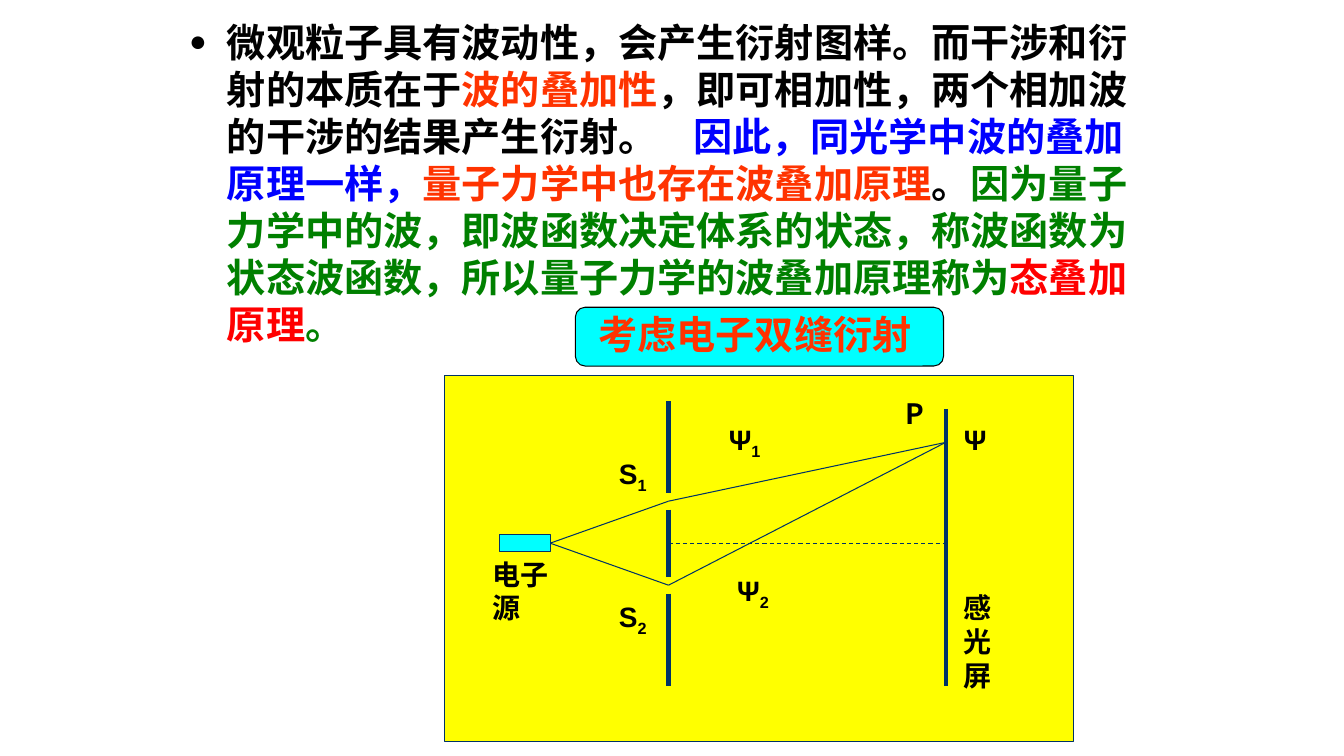
"""Builds the slide on wave superposition with an electron double-slit diagram."""
from lxml import etree
from pptx import Presentation
from pptx.dml.color import RGBColor
from pptx.enum import dml, shapes, text
from pptx.oxml import ns
from pptx.util import Pt

THEME = {
    "black": "000000", "orange": "FF3300", "blue": "0000FF", "green": "008000",
    "red": "FF0000", "cyan": "00FFFF", "yellow": "FFFF00", "navy": "003366",
    "latin": "Arial", "cjk": "Noto Sans CJK SC",
    "large": 28, "small": 20, "thin": 0.75, "thick": 3,
}

STATEMENT = [
    ("微观粒子具有波动性，会产生衍射图样。而干涉和衍射的本质在于", "black"),
    ("波的叠加性", "orange"),
    ("，即可相加性，两个相加波的干涉的结果产生衍射。\t", "black"),
    ("因此，同光学中波的叠加原理一样，", "blue"),
    ("量子力学中也存在波叠加原理", "orange"),
    ("。", "black"),
    ("因为量子力学中的波，即波函数决定体系的状态，称波函数为状态波函数，"
     "所以量子力学的波叠加原理称为", "green"),
    ("态叠加原理", "red"),
    ("。", "green"),
]
HEADING = "考虑电子双缝衍射 "

SOURCE_X, SLIT_X, SCREEN_X = 393, 477.5, 675.5
AXIS_Y, SLIT_OFFSET, GAP, POINT_Y = 388, 30, 6, 316
SLITS = [AXIS_Y - SLIT_OFFSET, AXIS_Y + SLIT_OFFSET]
BARRIER_TOP, BARRIER_BOTTOM, SCREEN_TOP = 286.5, 490, 292

LABELS = [
    ("P", "", 639.5, 280, 36, 32, "cjk"),
    ("Ψ", "1", 513.5, 298, 42, 31, "latin"),
    ("Ψ", "2", 519.5, 406, 48, 31, "latin"),
    ("Ψ", "", 681.5, 298, 42, 31, "latin"),
    ("S", "1", 435, 322.5, 36, 32, "latin"),
    ("S", "2", 435, 424.5, 36, 32, "latin"),
    ("电子源", "", 345, 394.5, 66, 56, "latin"),
    ("感光屏", "", 681.5, 418.5, 30, 80, "latin"),
]


def color(name):
    return RGBColor.from_string(THEME[name])


def add_run(paragraph, words, ink="black", face="latin", size="small"):
    run = paragraph.add_run()
    run.text = words
    formats = {"name": THEME[face], "size": Pt(THEME[size]), "bold": True}
    for key, value in formats.items():
        setattr(run.font, key, value)
    run.font.color.rgb = color(ink)
    return run


def add_text(slide, left, top, width, height):
    frame = slide.shapes.add_textbox(*map(Pt, (left, top, width, height))).text_frame
    frame.word_wrap = True
    return frame.paragraphs[0]


def add_block(slide, kind, box, fill, edge):
    block = slide.shapes.add_shape(kind, *map(Pt, box))
    block.shadow.inherit = False
    block.fill.solid()
    block.fill.fore_color.rgb = color(fill)
    block.line.color.rgb = color(edge)
    block.line.width = Pt(THEME["thin"])
    return block


def add_line(slide, start, end, weight="thin", dashed=False):
    line = slide.shapes.add_connector(
        shapes.MSO_CONNECTOR.STRAIGHT, *map(Pt, (*start, *end)))
    line.line.color.rgb = color("navy")
    line.line.width = Pt(THEME[weight])
    if dashed:
        line.line.dash_style = dml.MSO_LINE.DASH
    etree.SubElement(line._element.spPr, ns.qn("a:effectLst"))


def add_statement(slide):
    paragraph = add_text(slide, 128, 9.5, 685.5, 245)
    props = paragraph._p.get_or_add_pPr()
    for key, value in {"marL": Pt(27), "indent": -Pt(27)}.items():
        props.set(key, str(value))
    for tag, key, value in [("buSzPct", "val", "75000"), ("buFont", "typeface", THEME["latin"]),
                            ("buChar", "char", "●")]:
        etree.SubElement(props, ns.qn(f"a:{tag}")).set(key, value)
    for words, ink in STATEMENT:
        add_run(paragraph, words, ink, size="large")


def add_heading(slide):
    banner = add_block(slide, shapes.MSO_SHAPE.ROUNDED_RECTANGLE,
                       (411, 219.5, 263, 42), "cyan", "black")
    banner.text_frame.vertical_anchor = text.MSO_ANCHOR.MIDDLE
    paragraph = banner.text_frame.paragraphs[0]
    paragraph.alignment = text.PP_ALIGN.CENTER
    paragraph.line_spacing = 0.9
    add_run(paragraph, HEADING, "orange", "cjk", "large")


def add_diagram(slide):
    rectangle = shapes.MSO_SHAPE.RECTANGLE
    add_block(slide, rectangle, (317.5, 268.5, 449, 261), "yellow", "navy")
    for slit in SLITS:
        add_line(slide, (SOURCE_X, AXIS_Y), (SLIT_X, slit))
        add_line(slide, (SLIT_X, slit), (SCREEN_X, POINT_Y))
    add_line(slide, (SLIT_X, AXIS_Y), (SCREEN_X, AXIS_Y), dashed=True)
    tops = [BARRIER_TOP] + [slit + GAP for slit in SLITS]
    bottoms = [slit - GAP for slit in SLITS] + [BARRIER_BOTTOM]
    for top, bottom in zip(tops, bottoms):
        add_line(slide, (SLIT_X, top), (SLIT_X, bottom), "thick")
    add_line(slide, (SCREEN_X, SCREEN_TOP), (SCREEN_X, BARRIER_BOTTOM), "thick")
    add_block(slide, rectangle, (SOURCE_X - 36, AXIS_Y - 6, 36, 12), "cyan", "navy")
    for words, index, left, top, width, height, face in LABELS:
        paragraph = add_text(slide, left, top, width, height)
        add_run(paragraph, words, face=face)
        if index:
            add_run(paragraph, index, face=face).font._element.set("baseline", "-25000")


deck = Presentation()
deck.slide_width, deck.slide_height = Pt(960), Pt(540)
page = deck.slides.add_slide(deck.slide_layouts[6])
add_statement(page)
add_heading(page)
add_diagram(page)
deck.save("out.pptx")
